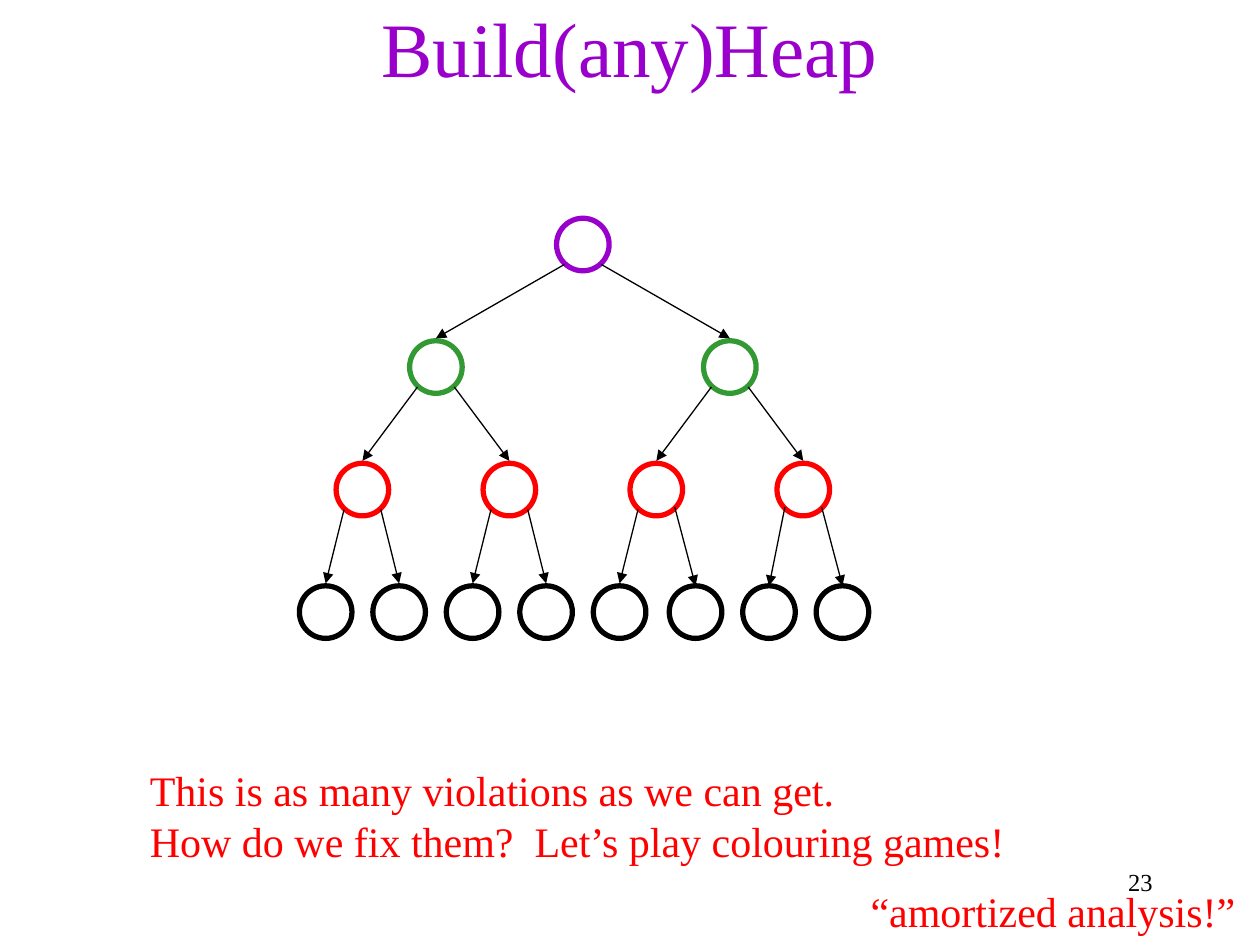
"""Build a slide showing a four-level heap as a coloured binary tree."""
from dataclasses import dataclass

from lxml import etree
from pptx import Presentation
from pptx.dml.color import RGBColor
from pptx.enum.shapes import MSO_CONNECTOR, MSO_SHAPE
from pptx.enum.text import MSO_ANCHOR, MSO_AUTO_SIZE, PP_ALIGN
from pptx.oxml.ns import qn
from pptx.slide import Slide
from pptx.util import Cm, Pt

OVAL = MSO_SHAPE.OVAL
STRAIGHT = MSO_CONNECTOR.STRAIGHT
TOP, MIDDLE = MSO_ANCHOR.TOP, MSO_ANCHOR.MIDDLE
LEFT, CENTER, RIGHT = PP_ALIGN.LEFT, PP_ALIGN.CENTER, PP_ALIGN.RIGHT
FIT_SHAPE, NO_FIT = MSO_AUTO_SIZE.SHAPE_TO_FIT_TEXT, MSO_AUTO_SIZE.NONE

PURPLE = RGBColor(0x99, 0x00, 0xCC)
GREEN = RGBColor(0x33, 0x99, 0x33)
RED = RGBColor(0xFF, 0x00, 0x00)
BLACK = RGBColor(0x00, 0x00, 0x00)

FONT = "Times New Roman"
LEVEL_COLORS = (PURPLE, GREEN, RED, BLACK)
ROOT_X, ROOT_Y = 11.75, 4.93
TREE_WIDTH, LEVEL_GAP = 11.85, 2.47
DIAMETER = 1.06
EDGE_OFFSET = 0.37
FIRST_SHIFTED_LEAF, LEAF_SHIFT = 5, 0.05


@dataclass(frozen=True)
class Node:
    level: int
    index: int

    @property
    def shifted(self) -> bool:
        return self.level == len(LEVEL_COLORS) - 1 and self.index >= FIRST_SHIFTED_LEAF

    @property
    def x(self) -> float:
        count = 2 ** self.level
        shift = LEAF_SHIFT if self.shifted else 0
        return ROOT_X + (self.index - (count - 1) / 2) * TREE_WIDTH / count + shift

    @property
    def y(self) -> float:
        return ROOT_Y + self.level * LEVEL_GAP


@dataclass(frozen=True)
class Caption:
    left: float
    top: float
    width: float
    height: float
    lines: tuple[str, ...]
    size: int
    color: RGBColor
    align: PP_ALIGN = LEFT
    anchor: MSO_ANCHOR = TOP
    wrap: bool = False


CAPTIONS = (
    Caption(1.9, -0.64, 21.59, 3.18, ("Build(any)Heap",), 44, PURPLE, CENTER, MIDDLE, True),
    Caption(2.77, 15.29, 17.83, 2.31,
            ("This is as many violations as we can get.",
             "How do we fix them?  Let’s play colouring games!"), 24, RED),
    Caption(18.21, 17.35, 5.28, 1.27, ("23",), 14, BLACK, RIGHT, wrap=True),
    Caption(17.3, 17.73, 7.9, 1.3, ("“amortized analysis!”",), 24, RED),
)


def draw_node(slide: Slide, node: Node) -> None:
    circle = slide.shapes.add_shape(
        OVAL, Cm(node.x - DIAMETER / 2), Cm(node.y - DIAMETER / 2), Cm(DIAMETER), Cm(DIAMETER))
    circle.shadow.inherit = False
    circle.fill.background()
    circle.line.color.rgb = LEVEL_COLORS[node.level]
    circle.line.width = Pt(3)


def draw_edge(slide: Slide, child: Node) -> None:
    parent = Node(child.level - 1, child.index // 2)
    side = 1 if child.index % 2 else -1
    drop, clearance = (0.35, 0) if child.shifted else (0.4, 0.05)
    edge = slide.shapes.add_connector(
        STRAIGHT, Cm(parent.x + side * EDGE_OFFSET), Cm(parent.y + drop),
        Cm(child.x), Cm(child.y - DIAMETER / 2 - clearance))
    edge.line.color.rgb = BLACK
    edge.line.width = Pt(0.75)
    etree.SubElement(edge.line._get_or_add_ln(), qn("a:tailEnd"), type="triangle")
    etree.SubElement(edge._element.spPr, qn("a:effectLst"))


def draw_caption(slide: Slide, caption: Caption) -> None:
    box = slide.shapes.add_textbox(
        Cm(caption.left), Cm(caption.top), Cm(caption.width), Cm(caption.height))
    frame = box.text_frame
    frame.word_wrap = caption.wrap
    frame.auto_size = NO_FIT if caption.wrap else FIT_SHAPE
    frame.vertical_anchor = caption.anchor
    for number, line in enumerate(caption.lines):
        paragraph = frame.add_paragraph() if number else frame.paragraphs[0]
        paragraph.alignment = caption.align
        run = paragraph.add_run()
        run.text = line
        run.font.name = FONT
        run.font.size = Pt(caption.size)
        run.font.color.rgb = caption.color


def main() -> None:
    presentation = Presentation()
    presentation.slide_width, presentation.slide_height = Cm(25.4), Cm(19.05)
    slide = presentation.slides.add_slide(presentation.slide_layouts[6])
    nodes = [Node(level, index) for level in range(len(LEVEL_COLORS)) for index in range(2 ** level)]
    for node in nodes:
        draw_node(slide, node)
    for child in nodes[1:]:
        draw_edge(slide, child)
    for caption in CAPTIONS:
        draw_caption(slide, caption)
    presentation.save("out.pptx")


if __name__ == "__main__":
    main()
